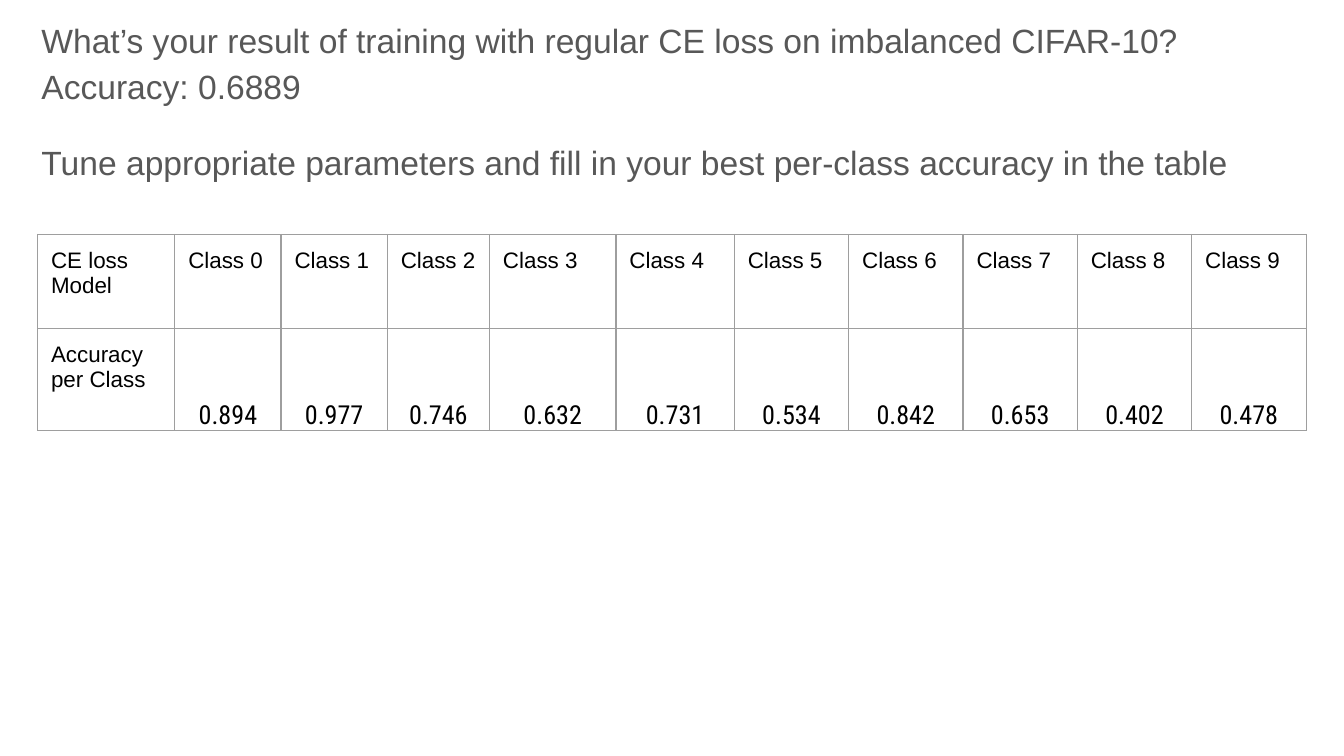
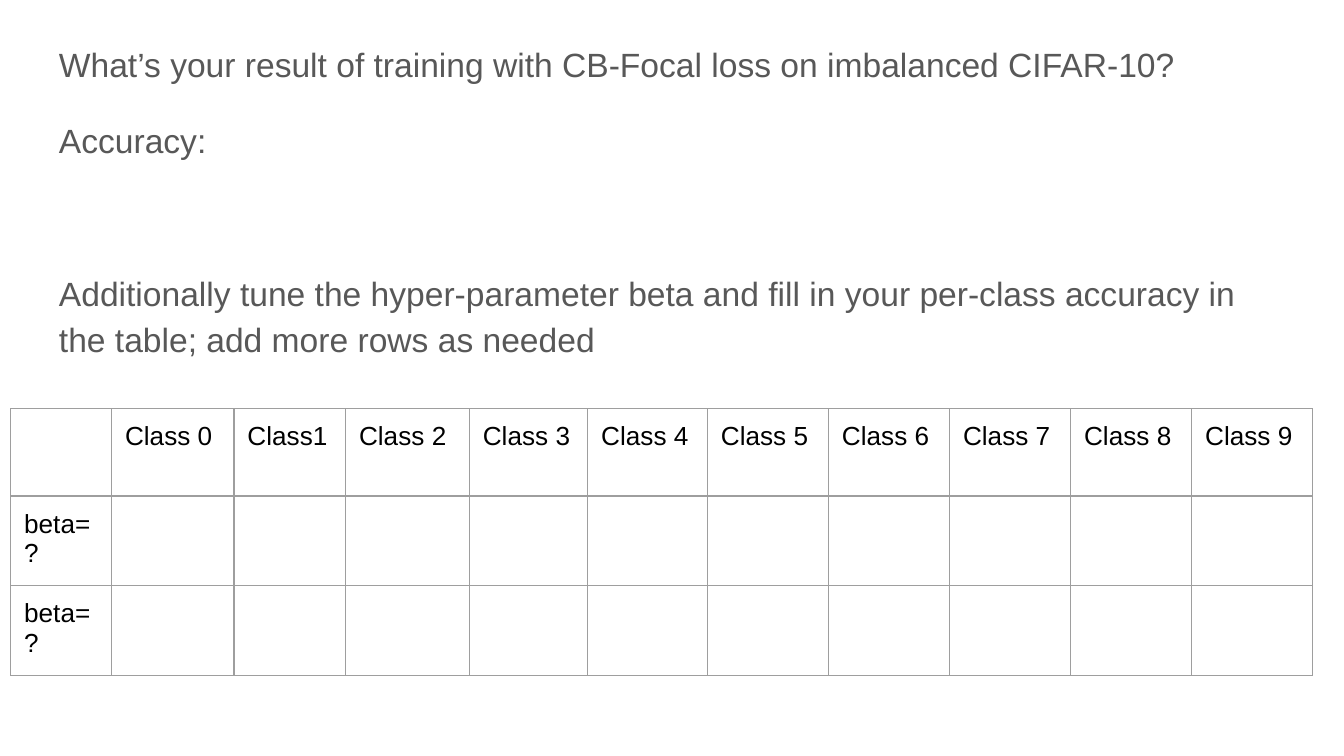
from collections import namedtuple

from pptx import Presentation
from pptx import util as u
from pptx.dml.color import RGBColor
from pptx.enum import text
from pptx.oxml import parse_xml
from pptx.oxml.ns import nsdecls

GREY = RGBColor(0x58, 0x58, 0x58)
BLACK = RGBColor(0, 0, 0)
WHITE = RGBColor(0xFF, 0xFF, 0xFF)
RULE = RGBColor(0x9E, 0x9E, 0x9E)
BODY_FONT = "Arial"
VALUE_FONT = "Roboto Condensed"

SLIDE_WIDTH = u.Inches(10)
SLIDE_HEIGHT = SLIDE_WIDTH * 9 // 16
GRID_COLUMNS, GRID_ROWS = 100, 56.25
INSET = u.Inches(0.1)
VALUE_INSET = u.Inches(0.01)
GAP = 16
SECTION_GAP = 57

Box = namedtuple("Box", "left top width height")
CellStyle = namedtuple("CellStyle", "font size align anchor insets")


def label_style(size):
    """Return the style of a top-left label cell."""
    return CellStyle(BODY_FONT, size, text.PP_ALIGN.LEFT, text.MSO_ANCHOR.TOP, (INSET,) * 4)


VALUE_STYLE = CellStyle(VALUE_FONT, 14, text.PP_ALIGN.CENTER, text.MSO_ANCHOR.BOTTOM,
                        (VALUE_INSET, VALUE_INSET, VALUE_INSET, 0))


def grid_box(left, top, width, height):
    """Convert grid columns and rows to a box in slide units."""
    column, row = SLIDE_WIDTH / GRID_COLUMNS, SLIDE_HEIGHT / GRID_ROWS
    return Box(round(left * column), round(top * row), round(width * column), round(height * row))


def set_insets(target, insets):
    """Set left, top, right and bottom margins."""
    target.margin_left, target.margin_top, target.margin_right, target.margin_bottom = insets


def style_font(para, name, size, colour):
    """Set the font of a whole paragraph."""
    para.font.name, para.font.size = name, u.Pt(size)
    para.font.color.rgb = colour


def add_questions(page, box, lines):
    """Write the question lines, each with its space before."""
    frame = page.shapes.add_textbox(*box).text_frame
    frame.word_wrap = True
    set_insets(frame, (INSET,) * 4)
    for index, (line, gap) in enumerate(lines):
        para = frame.paragraphs[0] if index == 0 else frame.add_paragraph()
        para.text = line
        para.line_spacing = 1.15
        para.space_before = u.Pt(gap)
        style_font(para, BODY_FONT, 18, GREY)


def draw_borders(cell):
    """Rule all four sides of a cell."""
    properties = cell._tc.get_or_add_tcPr()
    for side in "LRTB":
        properties.append(parse_xml(
            f'<a:ln{side} {nsdecls("a")} w="{u.Pt(0.75)}"><a:solidFill>'
            f'<a:srgbClr val="{RULE}"/></a:solidFill></a:ln{side}>'))


def fill_cell(cell, content, style):
    """Write and style one table cell."""
    draw_borders(cell)
    cell.fill.background()
    set_insets(cell, style.insets)
    cell.vertical_anchor = style.anchor
    para = cell.text_frame.paragraphs[0]
    para.text = content
    para.alignment = style.align
    style_font(para, style.font, style.size, BLACK)


def add_class_table(page, box, rows, widths, heights, label, value):
    """Build the per-class table, sharing the box by column and row weights."""
    table = page.shapes.add_table(len(rows), len(widths), *box).table
    table.first_row = table.horz_banding = False
    for column, weight in zip(table.columns, widths):
        column.width = round(box.width * weight / sum(widths))
    for row, weight in zip(table.rows, heights):
        row.height = round(box.height * weight / sum(heights))
    for row_index, row in enumerate(rows):
        for column_index, content in enumerate(row):
            style = value if row_index and column_index else label
            fill_cell(table.cell(row_index, column_index), content, style)


def add_page(deck):
    """Add a blank white slide."""
    page = deck.slides.add_slide(deck.slide_layouts[6])
    page.background.fill.solid()
    page.background.fill.fore_color.rgb = WHITE
    return page


def build_ce_loss(page):
    """Fill the slide on regular CE loss."""
    add_questions(page, grid_box(2.1, 0, 96.8, 49.9), [
        ("What’s your result of training with regular CE loss on imbalanced CIFAR-10?", 0),
        ("Accuracy: 0.6889", 0),
        ("Tune appropriate parameters and fill in your best per-class accuracy in the table", GAP),
    ])
    rows = [
        ["CE loss Model"] + [f"Class {number}" for number in range(10)],
        ["Accuracy per Class", "0.894", "0.977", "0.746", "0.632", "0.731",
         "0.534", "0.842", "0.653", "0.402", "0.478"],
    ]
    widths = [1.02, 0.79, 0.79, 0.76, 0.94, 0.88] + [0.85] * 5
    add_class_table(page, grid_box(2.8, 17.45, 94.4, 14.6), rows, widths, [0.7, 0.76],
                    label_style(12), VALUE_STYLE)


def build_focal_loss(page):
    """Fill the slide on CB-Focal loss."""
    add_questions(page, grid_box(3.4, 1.8, 93.2, 37.4), [
        ("What’s your result of training with CB-Focal loss on imbalanced CIFAR-10?", 0),
        ("Accuracy:", GAP),
        ("Additionally tune the hyper-parameter beta and fill in your per-class accuracy in "
         "the table; add more rows as needed", SECTION_GAP),
    ])
    header = ["", "Class 0", "Class1"] + [f"Class {number}" for number in range(2, 10)]
    rows = [header] + [["beta=?"] + [""] * 10] * 2
    widths = [0.75, 0.91, 0.83, 0.92, 0.88, 0.89] + [0.9] * 5
    label = label_style(14)
    add_class_table(page, grid_box(0.8, 30.4, 96.9, 19.7), rows, widths, [0.65, 0.66, 0.66],
                    label, label)


def main():
    """Build and save the deck."""
    deck = Presentation()
    deck.slide_width, deck.slide_height = SLIDE_WIDTH, SLIDE_HEIGHT
    for build in (build_ce_loss, build_focal_loss):
        build(add_page(deck))
    deck.save("out.pptx")


if __name__ == "__main__":
    main()
